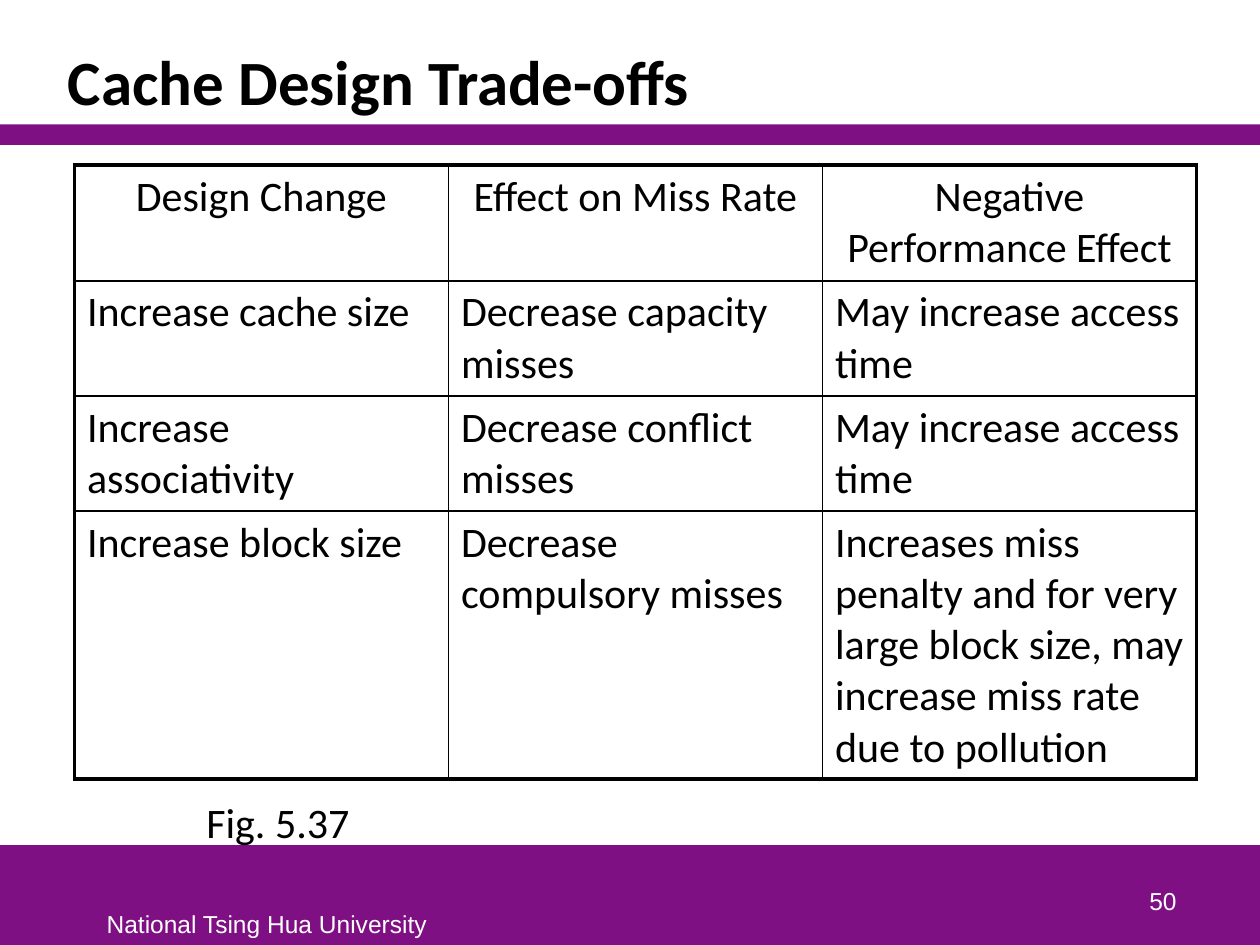
"""Build the cache design trade-offs slide."""
from lxml.etree import SubElement
from pptx import Presentation
from pptx.dml.color import RGBColor
from pptx.enum.shapes import MSO_SHAPE
from pptx.enum.text import MSO_ANCHOR, PP_ALIGN
from pptx.oxml.ns import qn
from pptx.util import Cm, Pt

PURPLE, BLACK, WHITE = "7F1084", "000000", "FFFFFF"
BANDS = [(0, 17.04, 25.4, 2.01), (0, 2.51, 25.4, 0.41)]
BODY = {"name": "Calibri", "size": Pt(24), "bold": False}
TITLE = {"name": "Calibri", "size": Pt(36), "bold": True}
FOOTER = {"name": "Arial", "size": Pt(14), "bold": False}
TEXTS = [
    ("National Tsing Hua University", (1.9, 18.21, 7.01, 0.84), FOOTER, WHITE,
     {"word_wrap": False}, {}),
    ("Cache Design Trade-offs", (1.12, 0.64, 23.16, 1.88), TITLE, BLACK,
     {"word_wrap": True, "vertical_anchor": MSO_ANCHOR.BOTTOM}, {"line_spacing": 0.85}),
    ("50", (18.69, 17.3, 5.28, 1.27), FOOTER, WHITE,
     {"word_wrap": True, "vertical_anchor": MSO_ANCHOR.BOTTOM}, {"alignment": PP_ALIGN.RIGHT}),
    ("Fig. 5.37", (3.91, 15.93, 3.4, 1.27), BODY, BLACK, {"word_wrap": False}, {}),
]
ROWS = [
    ("Design Change", "Effect on Miss Rate", "Negative Performance Effect"),
    ("Increase cache size", "Decrease capacity misses", "May increase access time"),
    ("Increase associativity", "Decrease conflict misses", "May increase access time"),
    ("Increase block size", "Decrease compulsory misses",
     "Increases miss penalty and for very large block size, "
     "may increase miss rate due to pollution"),
]
TABLE_LEFT, TABLE_TOP, COLUMN_WIDTH = 1.5, 3.33, 7.54
ROW_HEIGHTS = [2.33, 2.32, 2.32, 5.4]
COLUMN_LINES = [2.25, 1, 1, 2.25]
ROW_LINES = [2.25, 1.5, 1, 1, 2.25]


def color(value):
    return RGBColor.from_string(value)


def apply(target, values):
    for name, value in values.items():
        setattr(target, name, value)


def write(frame, text, font, ink, layout):
    para = frame.paragraphs[0]
    apply(para, layout)
    span = para.add_run()
    span.text = text
    apply(span.font, font)
    span.font.color.rgb = color(ink)


def add_border(cell, side, width):
    line = SubElement(cell._tc.get_or_add_tcPr(), qn(f"a:ln{side}"), w=str(Pt(width)))
    fill = SubElement(line, qn("a:solidFill"))
    SubElement(fill, qn("a:srgbClr"), val=BLACK)


def add_band(page, place):
    band = page.shapes.add_shape(MSO_SHAPE.RECTANGLE, *map(Cm, place))
    band.shadow.inherit = False
    band.fill.solid()
    band.fill.fore_color.rgb = color(PURPLE)
    band.line.fill.background()


def add_grid(page):
    table = page.shapes.add_table(
        len(ROWS), len(ROWS[0]), Cm(TABLE_LEFT), Cm(TABLE_TOP),
        Cm(COLUMN_WIDTH * len(ROWS[0])), Cm(sum(ROW_HEIGHTS))).table
    apply(table, {"first_row": False, "horz_banding": False})
    for column in table.columns:
        column.width = Cm(COLUMN_WIDTH)
    for r, (texts, height) in enumerate(zip(ROWS, ROW_HEIGHTS)):
        table.rows[r].height = Cm(height)
        alignment = PP_ALIGN.LEFT if r else PP_ALIGN.CENTER
        for c, text in enumerate(texts):
            cell = table.cell(r, c)
            write(cell.text_frame, text, BODY, BLACK, {"alignment": alignment})
            widths = {"L": COLUMN_LINES[c], "R": COLUMN_LINES[c + 1],
                      "T": ROW_LINES[r], "B": ROW_LINES[r + 1]}
            for side, width in widths.items():
                add_border(cell, side, width)
            cell.fill.background()


def main():
    deck = Presentation()
    apply(deck, {"slide_width": Cm(25.4), "slide_height": Cm(19.05)})
    page = deck.slides.add_slide(deck.slide_layouts[6])
    for place in BANDS:
        add_band(page, place)
    for text, place, font, ink, frame_values, layout in TEXTS:
        box = page.shapes.add_textbox(*map(Cm, place))
        apply(box.text_frame, frame_values)
        write(box.text_frame, text, font, ink, layout)
    add_grid(page)
    deck.save("out.pptx")


if __name__ == "__main__":
    main()
